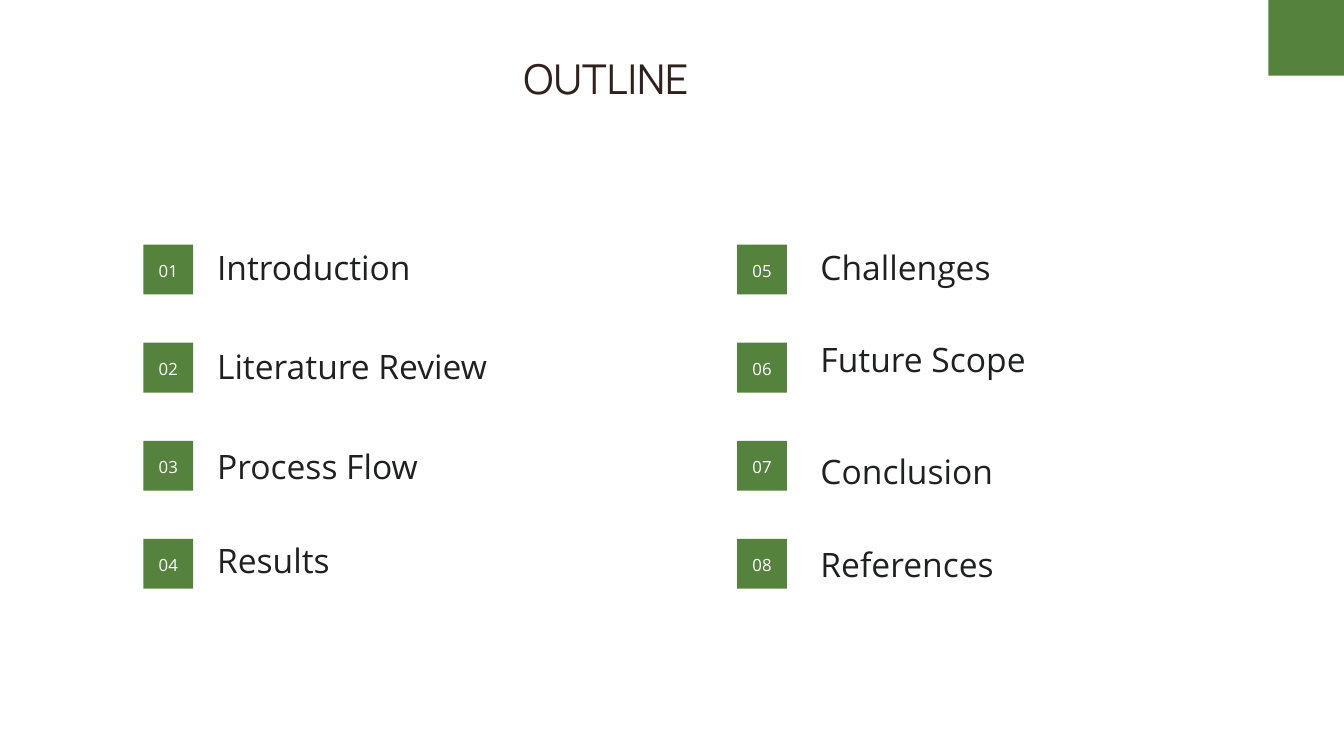
from pptx import Presentation
from pptx.dml.color import RGBColor
from pptx.enum.shapes import MSO_SHAPE
from pptx.enum.text import MSO_ANCHOR, MSO_AUTO_SIZE, PP_ALIGN
from pptx.util import Pt

RECTANGLE = MSO_SHAPE.RECTANGLE
TOP = MSO_ANCHOR.TOP
NO_AUTOFIT = MSO_AUTO_SIZE.NONE
LEFT, CENTER = PP_ALIGN.LEFT, PP_ALIGN.CENTER

GREEN = RGBColor(0x55, 0x83, 0x3D)
WHITE = RGBColor(0xFF, 0xFF, 0xFF)
BROWN = RGBColor(0x30, 0x21, 0x1C)
INK = RGBColor(0x1F, 0x20, 0x20)

SLIDE_WIDTH, SLIDE_HEIGHT = 1440, 810
CORNER_SIZE = 81
BADGE_SIZE = 53.4
FIRST_ROW, ROW_PITCH = 262.1, 105.1
NUMBER_INSET, NUMBER_DROP = 7, 13.8

COLUMNS = [
    (153.6, 232.6, [
        ("Introduction", 257),
        ("Literature Review", 363.6),
        ("Process Flow", 470.2),
        ("Results", 571.7),
    ]),
    (789.8, 879.1, [
        ("Challenges", 257),
        ("Future Scope", 356.4),
        ("Conclusion", 475.9),
        ("References", 575.3),
    ]),
]


class OutlineSlide:
    """Draws the elements of an outline slide in one shared style."""

    heading_font = "Manrope"
    body_font = "Open Sans"

    def __init__(self, presentation):
        self.slide = presentation.slides.add_slide(presentation.slide_layouts[5])

    def set_text(self, shape, text, size, font, color, spacing, alignment=LEFT):
        frame = shape.text_frame
        frame.margin_left = frame.margin_right = Pt(0)
        frame.margin_top = frame.margin_bottom = Pt(0)
        frame.word_wrap = True
        frame.auto_size = NO_AUTOFIT
        frame.vertical_anchor = TOP
        paragraph = frame.paragraphs[0]
        paragraph.alignment = alignment
        paragraph.line_spacing = Pt(spacing)
        paragraph.space_before = Pt(0)
        run = paragraph.add_run()
        run.text = text
        run.font.name = font
        run.font.size = Pt(size)
        run.font.color.rgb = color

    def title(self, text, left, top, width, height):
        shape = self.slide.shapes.title
        shape.left, shape.top = Pt(left), Pt(top)
        shape.width, shape.height = Pt(width), Pt(height)
        self.set_text(shape, text, 44, self.heading_font, BROWN, 56.3)

    def square(self, left, top, size):
        shape = self.slide.shapes.add_shape(
            RECTANGLE, Pt(left), Pt(top), Pt(size), Pt(size))
        shape.shadow.inherit = False
        shape.fill.solid()
        shape.fill.fore_color.rgb = GREEN
        shape.line.fill.background()

    def badge(self, number, left, top):
        self.square(left, top, BADGE_SIZE)
        shape = self.slide.shapes.add_textbox(
            Pt(left + NUMBER_INSET), Pt(top + NUMBER_DROP),
            Pt(BADGE_SIZE - 2 * NUMBER_INSET), Pt(24))
        self.set_text(shape, f"{number:02d}", 18, self.body_font, WHITE, 25.2, CENTER)

    def label(self, text, left, top):
        shape = self.slide.shapes.add_textbox(Pt(left), Pt(top), Pt(330), Pt(48))
        self.set_text(shape, text, 36, self.body_font, INK, 50.4)


def main():
    presentation = Presentation()
    presentation.slide_width = Pt(SLIDE_WIDTH)
    presentation.slide_height = Pt(SLIDE_HEIGHT)

    outline = OutlineSlide(presentation)
    outline.square(SLIDE_WIDTH - CORNER_SIZE, 0, CORNER_SIZE)
    outline.title("OUTLINE", 561, 54, 318, 59)

    number = 1
    for badge_left, label_left, topics in COLUMNS:
        for row, (topic, label_top) in enumerate(topics):
            outline.badge(number, badge_left, FIRST_ROW + row * ROW_PITCH)
            outline.label(topic, label_left, label_top)
            number += 1

    presentation.save("out.pptx")


if __name__ == "__main__":
    main()
